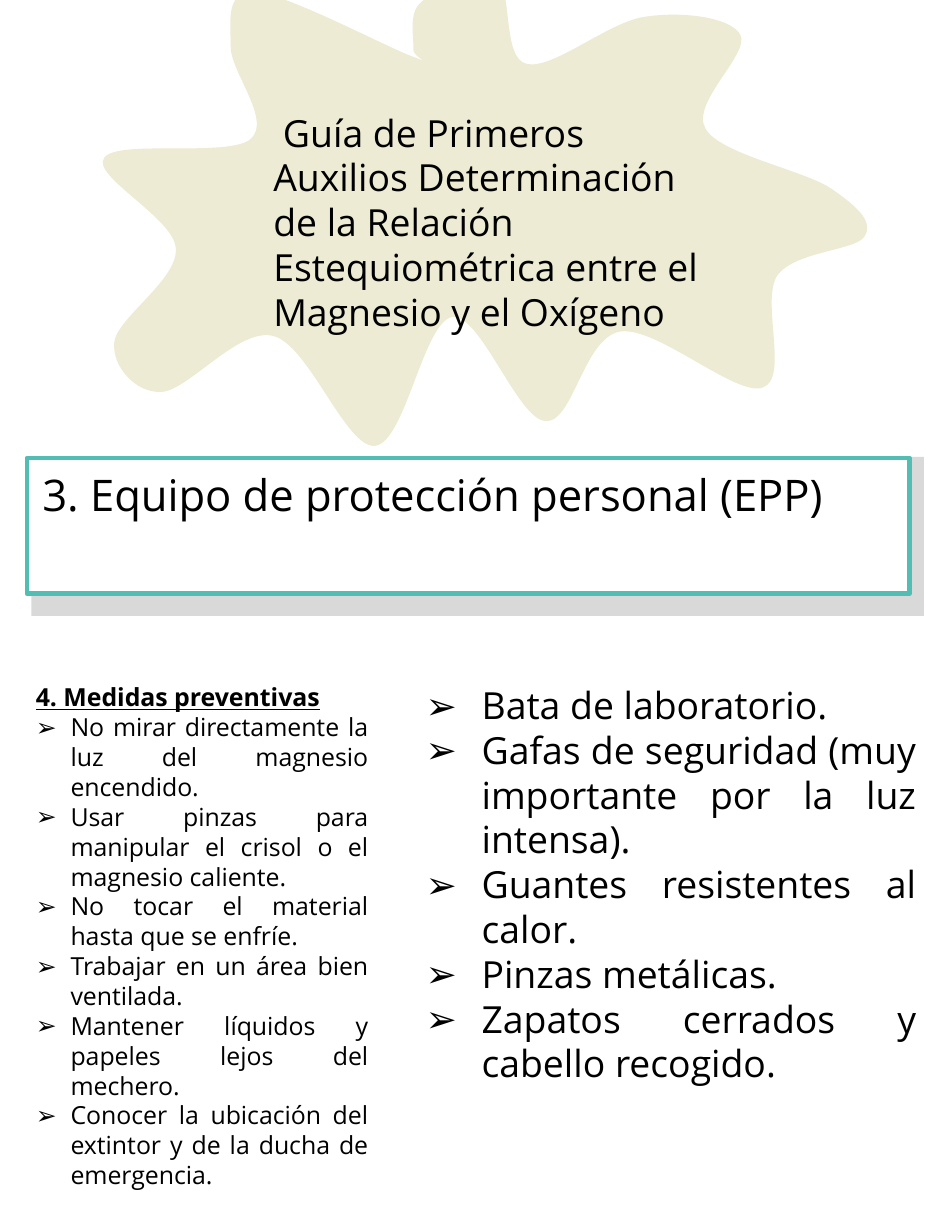
from lxml.etree import SubElement
from pptx import Presentation
from pptx.dml.color import RGBColor
from pptx.enum.shapes import MSO_SHAPE as Preset
from pptx.enum.text import MSO_ANCHOR as Anchor, MSO_AUTO_SIZE as AutoSize, PP_ALIGN as Align
from pptx.oxml.ns import qn
from pptx.util import Inches, Pt

FONT = "Open Sans"
SPLASH_START = (3.69, 0.43)
SPLASH_CURVES = [
    (3.7, 0.35, 3.64, 0.12, 3.76, 0.02), (3.88, -0.09, 4.27, -0.3, 4.43, -0.2),
    (4.58, -0.11, 4.48, 0.52, 4.7, 0.57), (4.93, 0.63, 5.44, 0.19, 5.76, 0.15),
    (6.08, 0.1, 6.52, 0.15, 6.61, 0.31), (6.7, 0.48, 6.16, 0.92, 6.3, 1.15),
    (6.43, 1.38, 7.19, 1.52, 7.43, 1.69), (7.66, 1.85, 7.8, 1.98, 7.72, 2.11),
    (7.64, 2.24, 7.1, 2.24, 6.94, 2.46), (6.79, 2.69, 7.05, 3.38, 6.81, 3.46),
    (6.58, 3.55, 5.86, 2.91, 5.54, 2.96), (5.21, 3.01, 5.12, 3.78, 4.87, 3.76),
    (4.62, 3.74, 4.29, 2.8, 4.04, 2.83), (3.78, 2.87, 3.62, 3.95, 3.35, 3.98),
    (3.09, 4.01, 2.76, 3.08, 2.44, 3), (2.13, 2.92, 1.68, 3.49, 1.44, 3.5),
    (1.21, 3.51, 1, 3.27, 1.02, 3.06), (1.04, 2.84, 1.59, 2.5, 1.57, 2.22),
    (1.56, 1.95, 0.81, 1.57, 0.93, 1.41), (1.04, 1.24, 2.05, 1.41, 2.24, 1.24),
    (2.43, 1.07, 2.05, 0.63, 2.06, 0.41), (2.06, 0.19, 2.01, -0.09, 2.28, -0.07),
    (2.55, -0.06, 3.43, 0.41, 3.67, 0.5), (3.91, 0.59, 3.67, 0.51, 3.69, 0.43),
]
TITLE = (" Guía de Primeros Auxilios Determinación de la Relación "
         "Estequiométrica entre el Magnesio y el Oxígeno")
MEASURES = [
    "No mirar directamente la luz del magnesio encendido.",
    "Usar pinzas para manipular el crisol o el magnesio caliente.",
    "No tocar el material hasta que se enfríe.",
    "Trabajar en un área bien ventilada.",
    "Mantener líquidos y papeles lejos del mechero.",
    "Conocer la ubicación del extintor y de la ducha de emergencia.",
]
EQUIPMENT = [
    "Bata de laboratorio.",
    "Gafas de seguridad (muy importante por la luz intensa).",
    "Guantes resistentes al calor.",
    "Pinzas metálicas.",
    "Zapatos cerrados y cabello recogido.",
]


def color(value):
    """Turn a hex string into a colour."""
    return RGBColor.from_string(value)


def paint(shape, fill, line=None):
    """Give a shape a flat fill and an optional 3 pt outline."""
    shape.shadow.inherit = False
    shape.fill.solid()
    shape.fill.fore_color.rgb = color(fill)
    if line:
        shape.line.color.rgb = color(line)
        shape.line.width = Pt(3)
    else:
        shape.line.fill.background()


def place(shape, box):
    """Move a text shape into its box and return its text frame."""
    shape.left, shape.top, shape.width, shape.height = map(Inches, box)
    frame = shape.text_frame
    frame.word_wrap = True
    frame.auto_size = AutoSize.SHAPE_TO_FIT_TEXT
    frame.vertical_anchor = Anchor.TOP
    return frame


def style(paragraph, text, size, align=Align.JUSTIFY):
    """Write one paragraph in the slide's font."""
    paragraph.text = text
    paragraph.alignment = align
    paragraph.space_before = Pt(0)
    paragraph.font.name = FONT
    paragraph.font.size = Pt(size)
    paragraph.font.color.rgb = color("000000")


def set_bullet(paragraph, indent=0):
    """Hang an arrow bullet at the indent, or remove the bullet at zero."""
    properties = paragraph._p.get_or_add_pPr()
    properties.set("marL", str(Inches(indent)))
    properties.set("indent", str(-Inches(indent)))
    if indent:
        SubElement(properties, qn("a:buFont")).set("typeface", FONT)
        SubElement(properties, qn("a:buChar")).set("char", "➢")
    else:
        SubElement(properties, qn("a:buNone"))


def add_splash(slide):
    """Draw the curved splash behind the title."""
    ends = [(Inches(x), Inches(y)) for *_, x, y in SPLASH_CURVES]
    builder = slide.shapes.build_freeform(*map(Inches, SPLASH_START))
    builder.add_line_segments(ends, close=True)
    splash = builder.convert_to_shape()
    outline = next(splash.element.iter(qn("a:path")))
    segments = outline.findall(qn("a:lnTo"))
    for segment, curve in zip(segments, SPLASH_CURVES):
        bezier = outline.makeelement(qn("a:cubicBezTo"))
        for x, y in zip(curve[::2], curve[1::2]):
            point = SubElement(bezier, qn("a:pt"))
            point.set("x", str(Inches(x) - splash.left))
            point.set("y", str(Inches(y) - splash.top))
        outline.replace(segment, bezier)
    paint(splash, "EDEBD3")
    splash.element.getparent().insert(2, splash.element)


def fill_title(title, box):
    """Write the guide's title over the splash."""
    frame = place(title, box)
    frame.margin_right = Inches(0.2)
    style(frame.paragraphs[0], TITLE, 24, Align.LEFT)


def add_banner(slide, box):
    """Draw the framed section heading with its offset grey panel."""
    left, top, width, height = box
    panels = [((left + 0.04, top - 0.01, width + 0.09, height + 0.21), "D9D9D9", None),
              (box, "FFFFFF", "52BDB3")]
    for panel_box, fill, line in panels:
        panel = slide.shapes.add_shape(Preset.RECTANGLE, *map(Inches, panel_box))
        paint(panel, fill, line)
    heading_box = (left + 0.04, top + 0.04, width - 0.08, 0.57)
    heading = slide.shapes.add_textbox(*map(Inches, heading_box))
    style(place(heading, heading_box).paragraphs[0],
          "3. Equipo de protección personal (EPP)", 28)


def fill_list(body, box, items, size, indent, heading=None):
    """Write a bulleted list under an optional underlined heading."""
    frame = place(body, box)
    lines = [heading, *items] if heading else items
    for index, text in enumerate(lines):
        paragraph = frame.add_paragraph() if index else frame.paragraphs[0]
        style(paragraph, text, size)
        is_heading = text == heading
        set_bullet(paragraph, 0 if is_heading else indent)
        if is_heading:
            paragraph.font.bold = True
            paragraph.font.underline = True


def main():
    """Build the first aid guide."""
    presentation = Presentation()
    presentation.slide_width = Inches(8.5)
    presentation.slide_height = Inches(11)
    slide = presentation.slides.add_slide(presentation.slide_layouts[3])
    title, measures, equipment = list(slide.placeholders)[:3]
    add_splash(slide)
    fill_title(title, (2.34, 0.93, 4.26, 1.72))
    add_banner(slide, (0.24, 4.09, 7.88, 1.21))
    fill_list(measures, (0.22, 6.04, 3.17, 3.87), MEASURES, 16, 0.31,
              "4. Medidas preventivas")
    fill_list(equipment, (3.7, 6.04, 4.58, 3.33), EQUIPMENT, 24, 0.5)
    presentation.save("out.pptx")


if __name__ == "__main__":
    main()
